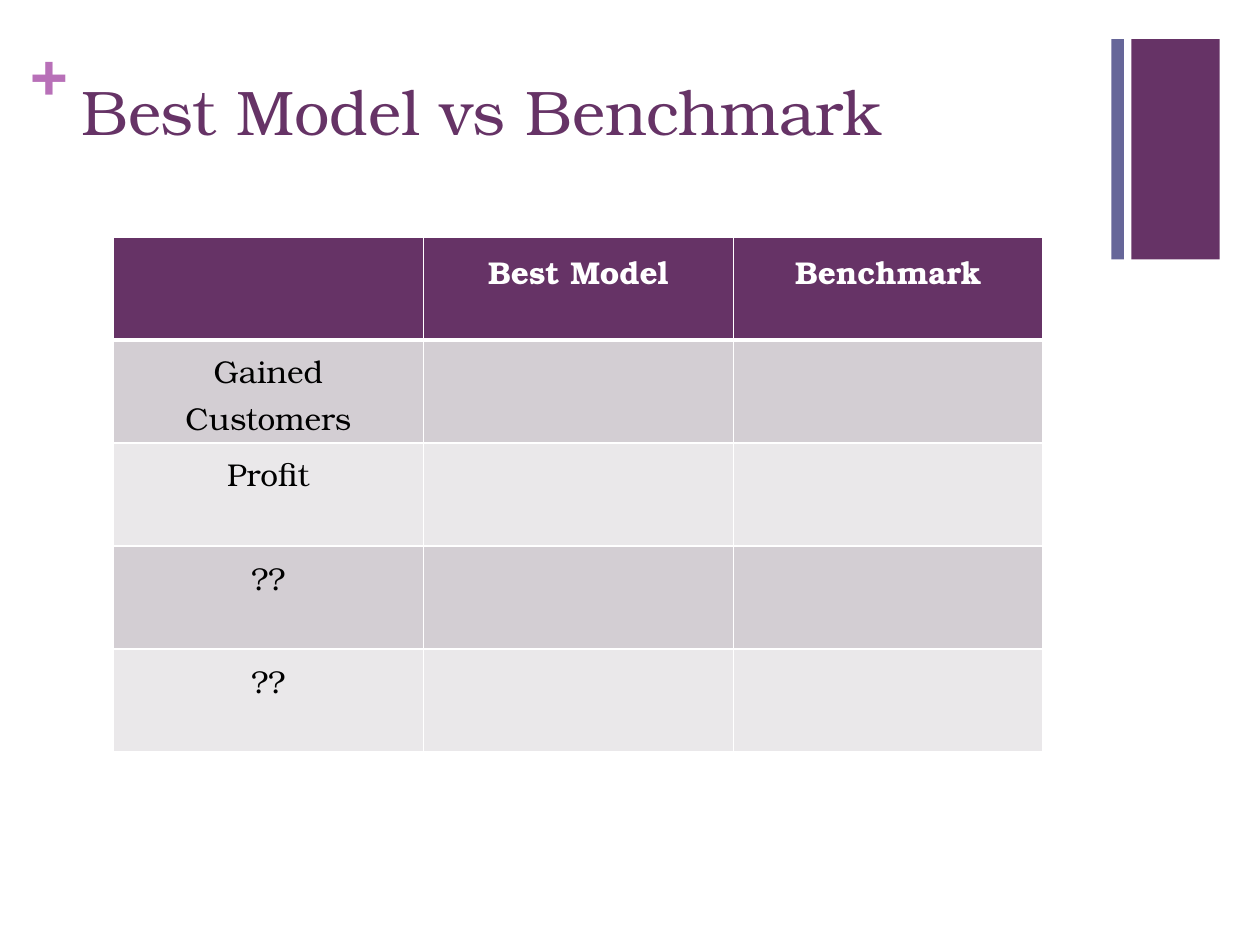
from lxml import etree
from pptx import Presentation
from pptx import util as u
from pptx.dml.color import RGBColor
from pptx.enum import shapes, text
from pptx.oxml import ns

FONT = "TeX Gyre Bonum"
COLORS = {
    "plum": "663366", "slate": "666699", "orchid": "B870B8", "white": "FFFFFF",
    "black": "000000", "dark_band": "D3CED3", "light_band": "EAE8EA",
}
ROWS = [
    ["", "Best Model", "Benchmark"],
    ["Gained\nCustomers", "", ""],
    ["Profit", "", ""],
    ["??", "", ""],
    ["??", "", ""],
]


def rgb(name):
    return RGBColor.from_string(COLORS[name])


def inches(*values):
    return [u.Inches(v) for v in values]


def style_text(tf, size, color, bold=False):
    for p in tf.paragraphs:
        for r in p.runs:
            r.font.name = FONT
            r.font.size = u.Pt(size)
            r.font.bold = bold
            r.font.color.rgb = rgb(color)


def add_label(s, box, label, size, color, bold=False, margins=(0.1, 0.05)):
    sp = s.shapes.add_textbox(*inches(*box))
    tf = sp.text_frame
    tf.word_wrap = True
    tf.vertical_anchor = text.MSO_ANCHOR.TOP
    tf.margin_left = tf.margin_right = u.Inches(margins[0])
    tf.margin_top = tf.margin_bottom = u.Inches(margins[1])
    tf.text = label
    style_text(tf, size, color, bold)


def add_heading(s, left, top):
    add_label(s, (left, top, 0.29, 0.61), "+", 36, "orchid", True, (0, 0))
    add_label(s, (left + 0.31, top + 0.28, 8.26, 1.22),
              "Best Model vs Benchmark", 36, "plum")


def add_corner_bars(s, left, top, height):
    for offset, width, color in [(0.16, 0.7, "plum"), (0, 0.1, "slate")]:
        sp = s.shapes.add_shape(shapes.MSO_SHAPE.RECTANGLE,
                                *inches(left + offset, top, width, height))
        sp.shadow.inherit = False
        sp.fill.solid()
        sp.fill.fore_color.rgb = rgb(color)
        sp.line.fill.background()


def set_borders(cell, widths):
    props = cell._tc.get_or_add_tcPr()
    for i, (side, width) in enumerate(widths.items()):
        line = etree.Element(ns.qn("a:ln" + side), w=str(u.Pt(width)))
        fill = etree.SubElement(line, ns.qn("a:solidFill"))
        etree.SubElement(fill, ns.qn("a:srgbClr"), val=COLORS["white"])
        props.insert(i, line)


def fill_cell(cell, label, row):
    header = row == 0
    band = "plum" if header else ("dark_band" if row % 2 else "light_band")
    cell.fill.solid()
    cell.fill.fore_color.rgb = rgb(band)
    set_borders(cell, {"L": 1, "R": 1, "T": 3 if row == 1 else 1,
                       "B": 3 if header else 1})
    if label:
        tf = cell.text_frame
        tf.text = label
        for p in tf.paragraphs:
            p.alignment = text.PP_ALIGN.CENTER
            p.line_spacing = 1.1
        style_text(tf, 18, "white" if header else "black", header)


def add_comparison(s, left, top, width, height):
    frame = s.shapes.add_table(len(ROWS), len(ROWS[0]),
                               *inches(left, top, width, height))
    for i, labels in enumerate(ROWS):
        for j, label in enumerate(labels):
            fill_cell(frame.table.cell(i, j), label, i)


def main():
    prs = Presentation()
    prs.slide_width, prs.slide_height = inches(10, 7.5)
    s = prs.slides.add_slide(prs.slide_layouts[6])
    add_corner_bars(s, 8.82, 0.31, 1.75)
    add_heading(s, 0.24, 0.25)
    add_comparison(s, 0.9, 1.88, 7.38, 4.09)
    prs.save("out.pptx")


main()
